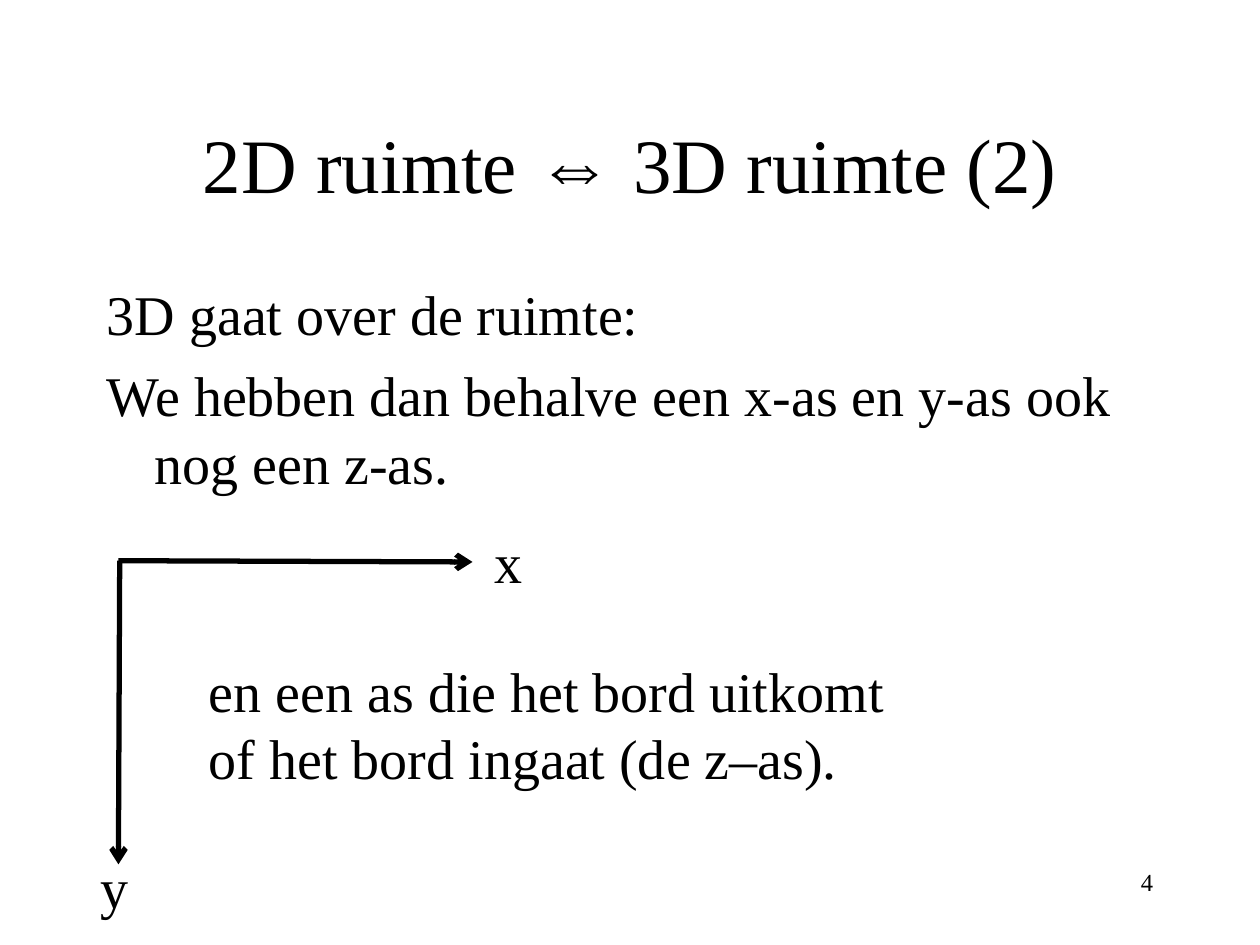
from pptx import Presentation
from pptx.dml.color import RGBColor
from pptx.enum.shapes import MSO_CONNECTOR
from pptx.enum.text import MSO_ANCHOR, PP_ALIGN
from pptx.oxml.ns import qn
from pptx.util import Inches, Pt

BLACK = RGBColor(0, 0, 0)
SERIF = "Times New Roman"
SANS = "Arial"


def add_run(p, text, size, font=SERIF):
    r = p.add_run()
    r.text = text
    r.font.size = Pt(size)
    r.font.name = font
    r.font.color.rgb = BLACK


def set_title(slide, left, top, width, height, runs):
    title = slide.shapes.title
    title.left, title.top = Inches(left), Inches(top)
    title.width, title.height = Inches(width), Inches(height)
    tf = title.text_frame
    tf.vertical_anchor = MSO_ANCHOR.MIDDLE
    p = tf.paragraphs[0]
    p.alignment = PP_ALIGN.CENTER
    for text, font in runs:
        add_run(p, text, 44, font)


def add_text(shapes, left, top, width, height, paragraphs, size=32,
             align=PP_ALIGN.LEFT, wrap=True, hanging=0):
    """Add a text box; hanging is the indent of wrapped lines in inches."""
    box = shapes.add_textbox(Inches(left), Inches(top), Inches(width), Inches(height))
    tf = box.text_frame
    tf.word_wrap = wrap
    for i, text in enumerate(paragraphs):
        p = tf.add_paragraph() if i else tf.paragraphs[0]
        p.alignment = align
        if i:
            p.space_before = Pt(8)
        if hanging:
            pPr = p._p.get_or_add_pPr()
            pPr.set("marL", str(Inches(hanging)))
            pPr.set("indent", str(-Inches(hanging)))
        add_run(p, text, size)


def add_axis(shapes, x1, y1, x2, y2):
    axis = shapes.add_connector(MSO_CONNECTOR.STRAIGHT, Inches(x1), Inches(y1),
                                Inches(x2), Inches(y2))
    axis.line.color.rgb = BLACK
    axis.line.width = Pt(3)
    ln = axis.line._get_or_add_ln()
    ln.append(ln.makeelement(qn("a:tailEnd"), {"type": "arrow"}))
    spPr = axis._element.spPr
    spPr.append(spPr.makeelement(qn("a:effectLst"), {}))


def add_axes(slide):
    shapes = slide.shapes.add_group_shape().shapes
    add_axis(shapes, 0.94, 4.45, 3.75, 4.46)
    add_axis(shapes, 0.95, 4.45, 0.94, 6.86)
    for label, left, top in (("x", 3.83, 4.14), ("y", 0.7, 6.72)):
        add_text(shapes, left, top, 0.39, 0.64, [label], wrap=False)


def main():
    prs = Presentation()
    prs.slide_width, prs.slide_height = Inches(10), Inches(7.5)
    s = prs.slides.add_slide(prs.slide_layouts[5])
    set_title(s, 0.75, 0.67, 8.5, 1.25,
              [("2D ruimte ", SERIF), ("⇔", SANS), (" 3D ruimte (2)", SERIF)])
    add_text(s.shapes, 0.75, 2.17, 8.5, 1.97,
             ["3D gaat over de ruimte:",
              "We hebben dan behalve een x-as en y-as ook nog een z-as."],
             hanging=0.38)
    add_text(s.shapes, 7.17, 6.83, 2.08, 0.5, ["4"], size=14, align=PP_ALIGN.RIGHT)
    add_text(s.shapes, 1.56, 5.16, 5.62, 1.17,
             ["en een as die het bord uitkomt of het bord ingaat (de z–as)."])
    add_axes(s)
    prs.save("out.pptx")


if __name__ == "__main__":
    main()
